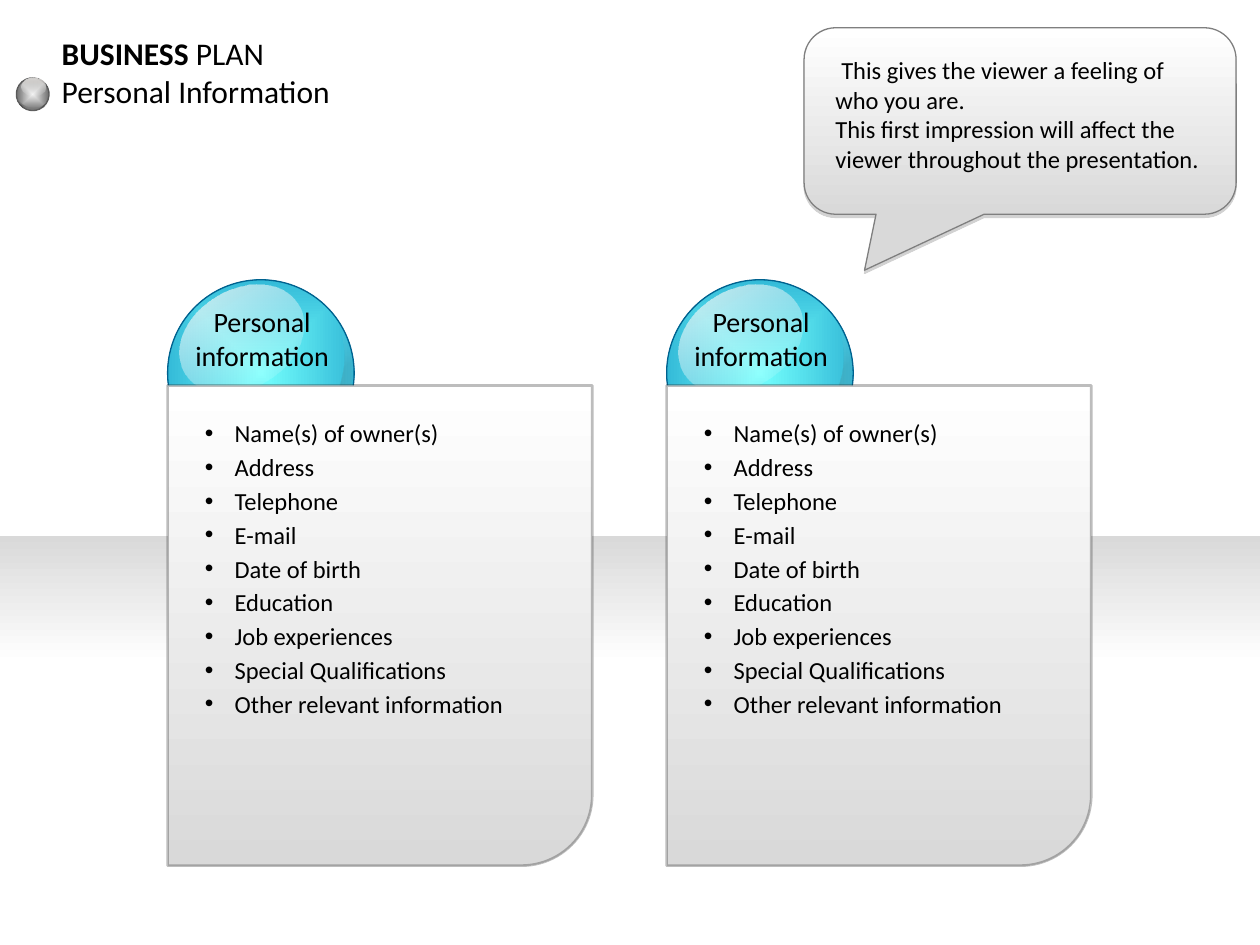
"""Build the Personal Information slide of a business plan."""
import pptx
import pptx.dml.color
import pptx.enum.shapes
import pptx.enum.text
import pptx.oxml.ns
import pptx.util
from lxml import etree

Cm, Pt, qn = pptx.util.Cm, pptx.util.Pt, pptx.oxml.ns.qn
SHAPES = pptx.enum.shapes.MSO_SHAPE
ALIGN = pptx.enum.text.PP_ALIGN

TITLE = [[("BUSINESS", True), (" PLAN", False)], [("Personal Information", False)]]
CALLOUT = [
    "This gives the viewer a feeling of who you are.",
    "This first impression will affect the viewer throughout the presentation.",
]
TOPICS = [
    "Name(s) of owner(s)", "Address", "Telephone", "E-mail", "Date of birth",
    "Education", "Job experiences", "Special Qualifications",
    "Other relevant information",
]
CARDS = [("Personal information", TOPICS), ("Personal information", TOPICS)]

THEME = {
    "font": "Calibri", "text": "000000",
    "title": 18, "label": 16, "body": 14, "bullet_gap": 2.5,
    "panel": [(0, "FFFFFF", 100), (100, "D9D9D9", 100)],
    "band": [(0, "D9D9D9", 100), (39, "FFFFFF", 100)],
    "ball": [(0, "74FFFD", 100), (100, "20A6CD", 100)],
    "button": [(0, "F2F2F2", 100), (100, "595959", 100)],
    "shade": [(24, "000000", 24), (100, "FFFFFF", 0)],
    "gloss": [(0, "FFFCF9", 77), (100, "FFFFFF", 0)],
    "ball_line": "00618E", "button_line": "595959",
    "card_line": "262626", "callout_line": "7F7F7F", "shadow": "808080",
}

CARD_LEFT, CARD_PITCH = 3.38, 10.06
BALL = [
    (SHAPES.OVAL, (0, 5.64, 3.76, 3.76), 338.6, True, "ball", None),
    (SHAPES.MOON, (1.63, 6.48, 1.65, 3.66), 53.6, True, "shade", None),
    (SHAPES.OVAL, (0.15, 5.84, 2.67, 1.98), 329.4, True, "gloss", 90),
]
BUTTON = [
    (SHAPES.OVAL, (0.33, 1.57, 0.66, 0.66), 350.9, False, "button", None),
    (SHAPES.OVAL, (0.43, 1.57, 0.48, 0.36), 0, False, "gloss", 90),
    (SHAPES.MOON, (0.51, 1.75, 0.3, 0.66), 275.9, False, "shade", None),
]


def add_color(parent, color, opacity):
    element = etree.SubElement(parent, qn("a:srgbClr"), val=color)
    if opacity < 100:
        etree.SubElement(element, qn("a:alpha"), val=str(opacity * 1000))


def fill_gradient(shape, stops, angle):
    shape.fill.gradient()
    gradient = shape.element.spPr.find(qn("a:gradFill"))
    for child in list(gradient):
        gradient.remove(child)
    stop_list = etree.SubElement(gradient, qn("a:gsLst"))
    for position, color, opacity in stops:
        stop = etree.SubElement(stop_list, qn("a:gs"), pos=str(position * 1000))
        add_color(stop, color, opacity)
    if angle is None:
        center = etree.SubElement(gradient, qn("a:path"), path="shape")
        etree.SubElement(center, qn("a:fillToRect"), dict.fromkeys("ltrb", "50000"))
    else:
        etree.SubElement(gradient, qn("a:lin"), ang=str(angle * 60000), scaled="0")


def add_panel(shapes, kind, box, stops, angle, rotation=0, flipped=False,
              line=None, width=0.75, line_opacity=100):
    shape = shapes.add_shape(kind, *map(Cm, box))
    shape.shadow.inherit = False
    shape.rotation = rotation
    if flipped:
        shape.element.spPr.find(qn("a:xfrm")).set("flipH", "1")
    fill_gradient(shape, stops, angle)
    if line is None:
        shape.line.fill.background()
        return shape
    shape.line.width = Pt(width)
    shape.line.color.rgb = pptx.dml.color.RGBColor.from_string(line)
    if line_opacity < 100:
        color = shape.line.fill._xPr.find(qn("a:solidFill"))[0]
        etree.SubElement(color, qn("a:alpha"), val=str(line_opacity * 1000))
    return shape


def add_orb(slide, parts, line, left=0):
    group = slide.shapes.add_group_shape()
    for kind, (x, y, w, h), rotation, flipped, fill, angle in parts:
        shape = add_panel(group.shapes, kind, (left + x, y, w, h), THEME[fill], angle,
                          rotation, flipped, line if fill in ("ball", "button") else None)
        if kind == SHAPES.MOON:
            shape.adjustments[0] = 0.19


def write_text(shape, paragraphs, size, align=ALIGN.LEFT, bulleted=False):
    frame = shape.text_frame
    frame.word_wrap = True
    frame.auto_size = pptx.enum.text.MSO_AUTO_SIZE.SHAPE_TO_FIT_TEXT
    frame.vertical_anchor = pptx.enum.text.MSO_ANCHOR.TOP
    for index, runs in enumerate(paragraphs):
        paragraph = frame.add_paragraph() if index else frame.paragraphs[0]
        paragraph.alignment = align
        if bulleted:
            if index:
                paragraph.space_before = Pt(THEME["bullet_gap"])
            properties = paragraph._p.get_or_add_pPr()
            properties.set("marL", str(Cm(0.6)))
            properties.set("indent", str(Cm(-0.6)))
            etree.SubElement(properties, qn("a:buFont"), typeface="Arial")
            etree.SubElement(properties, qn("a:buChar"), char="•")
        for text, bold in runs:
            run = paragraph.add_run()
            run.text = text
            run.font.name = THEME["font"]
            run.font.size = Pt(size)
            run.font.bold = bold
            run.font.color.rgb = pptx.dml.color.RGBColor.from_string(THEME["text"])
    return frame


def plain(lines):
    return [[(line, False)] for line in lines]


def add_text(slide, box, lines, size, **options):
    return write_text(slide.shapes.add_textbox(*map(Cm, box)), plain(lines), size, **options)


def add_card(slide, left, label, topics):
    add_orb(slide, BALL, THEME["ball_line"], left)
    add_panel(slide.shapes, SHAPES.ROUND_1_RECTANGLE, (left, 7.77, 8.56, 9.68),
              THEME["panel"], 270, 180, True, THEME["card_line"], 1.5, 30)
    add_text(slide, (left + 0.5, 8.31, 7.57, 8.03), topics, THEME["body"], bulleted=True)
    add_text(slide, (left + 0.1, 6.02, 3.61, 2.39), [label], THEME["label"],
             align=ALIGN.CENTER)


def add_callout(slide):
    callout = add_panel(slide.shapes, SHAPES.ROUNDED_RECTANGULAR_CALLOUT,
                        (16.21, 0.56, 8.71, 3.76), THEME["panel"], 90,
                        line=THEME["callout_line"])
    for index, value in enumerate((-0.36, 0.8, 0.17)):
        callout.adjustments[index] = value
    effects = callout.element.spPr.find(qn("a:effectLst"))
    shadow = etree.SubElement(effects, qn("a:outerShdw"), blurRad="0",
                              dist=str(Pt(1.8)), dir="5400000", rotWithShape="0")
    add_color(shadow, THEME["shadow"], 35)
    frame = add_text(slide, (16.59, 0.99, 8.05, 2.64), CALLOUT, THEME["body"])
    frame.paragraphs[0]._p.get_or_add_pPr().set("indent", str(Cm(0.12)))


def main():
    presentation = pptx.Presentation()
    presentation.slide_width, presentation.slide_height = Cm(25.4), Cm(19.05)
    slide = presentation.slides.add_slide(presentation.slide_layouts[5])
    add_panel(slide.shapes, SHAPES.RECTANGLE, (0, 10.8, 25.4, 6.6), THEME["band"], 90)
    title = slide.shapes.title
    title.left, title.top, title.width, title.height = map(Cm, (0.99, 0.56, 6.76, 1.8))
    write_text(title, TITLE, THEME["title"])
    for index, (label, topics) in enumerate(CARDS):
        add_card(slide, CARD_LEFT + index * CARD_PITCH, label, topics)
    add_callout(slide)
    add_orb(slide, BUTTON, THEME["button_line"])
    presentation.save("out.pptx")


if __name__ == "__main__":
    main()
